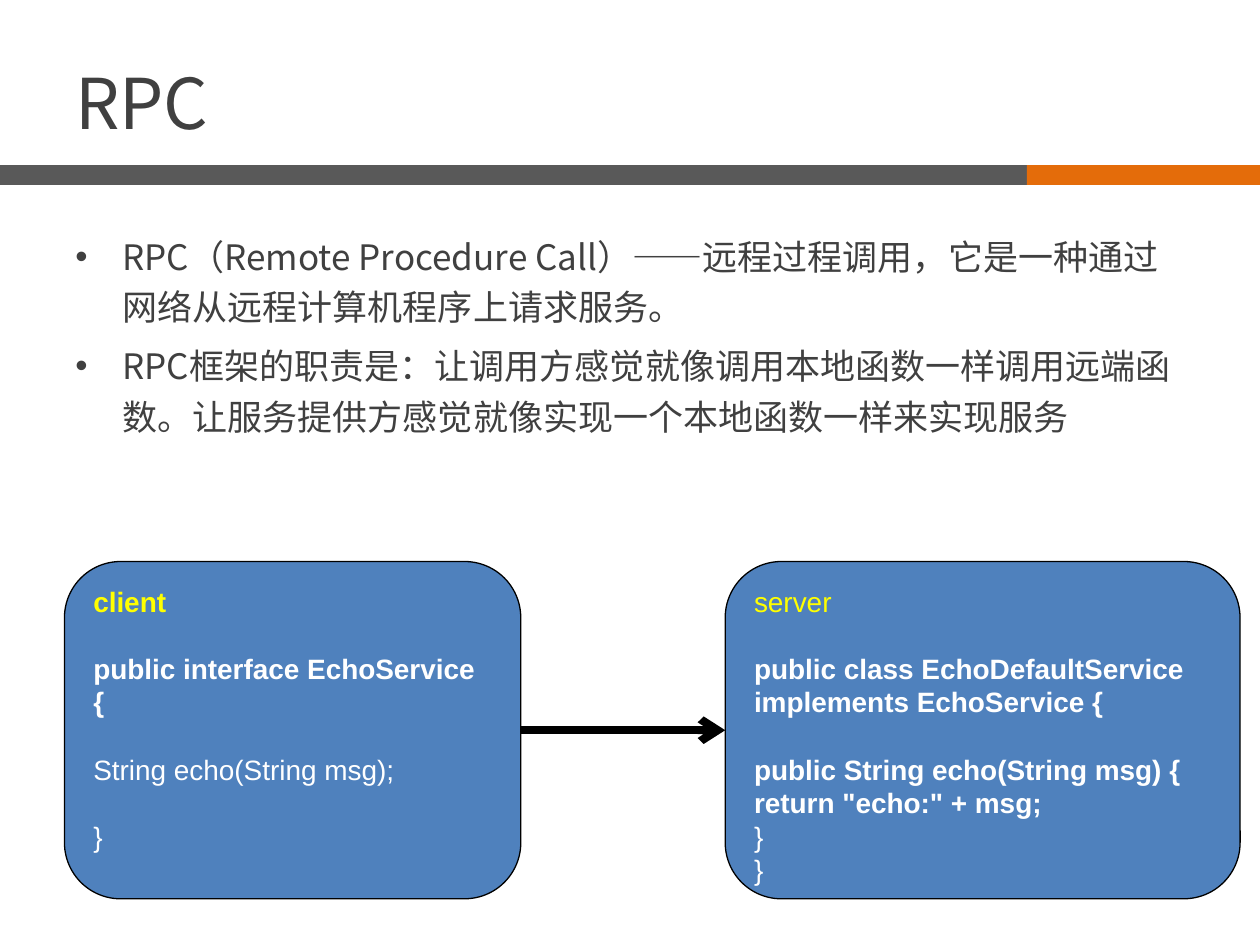
from lxml import etree
from pptx import Presentation
from pptx.dml.color import RGBColor
from pptx.enum.shapes import MSO_CONNECTOR, MSO_SHAPE
from pptx.enum.text import MSO_ANCHOR, PP_ALIGN
from pptx.oxml.ns import qn
from pptx.util import Cm, Pt

RECTANGLE, ROUNDED = MSO_SHAPE.RECTANGLE, MSO_SHAPE.ROUNDED_RECTANGLE
STRAIGHT, LEFT = MSO_CONNECTOR.STRAIGHT, PP_ALIGN.LEFT
TOP, MIDDLE = MSO_ANCHOR.TOP, MSO_ANCHOR.MIDDLE

BLACK = RGBColor(0x00, 0x00, 0x00)
WHITE = RGBColor(0xFF, 0xFF, 0xFF)
YELLOW = RGBColor(0xFF, 0xFF, 0x00)
TEXT_GRAY = RGBColor(0x40, 0x40, 0x40)
BAR_GRAY = RGBColor(0x59, 0x59, 0x59)
ORANGE = RGBColor(0xE4, 0x6C, 0x0A)
BLUE = RGBColor(0x4F, 0x81, 0xBD)
CJK_FONT, CODE_FONT = "Noto Sans CJK SC", "Arial"

# Content
TITLE = "RPC"
BULLETS = [
    "RPC（Remote Procedure Call）——远程过程调用，它是一种通过网络从远程计算机程序上请求服务。",
    "RPC框架的职责是：让调用方感觉就像调用本地函数一样调用远端函数。"
    "让服务提供方感觉就像实现一个本地函数一样来实现服务",
]
# Code lines: text, color, bold, whether a one-line gap comes before
CLIENT = [
    ("client", YELLOW, True, False),
    ("public interface EchoService {", WHITE, True, True),
    ("String echo(String msg);", WHITE, False, True),
    ("}", WHITE, False, True),
]
SERVER = [
    ("server", YELLOW, False, False),
    ("public class EchoDefaultService implements EchoService {", WHITE, True, True),
    ("public String echo(String msg) {", WHITE, True, True),
    ('return "echo:" + msg;', WHITE, True, False),
    ("}", WHITE, False, False),
    ("}", WHITE, False, False),
]

# Layout in centimetres
SLIDE_WIDTH, SLIDE_HEIGHT = 25.4, 19.05
BAR_TOP, BAR_HEIGHT, BAR_SPLIT = 3.33, 0.4, 20.7
MARGIN = 1.27
TEXT_WIDTH = SLIDE_WIDTH - 2 * MARGIN
BOX_TOP, BOX_HEIGHT = 11.32, 6.8
CLIENT_LEFT, CLIENT_WIDTH = 1.3, 9.2
SERVER_LEFT, SERVER_WIDTH = 14.62, 10.38
CODE_LINE = Pt(19.2)

presentation = Presentation()
presentation.slide_width, presentation.slide_height = Cm(SLIDE_WIDTH), Cm(SLIDE_HEIGHT)
slide = presentation.slides.add_slide(presentation.slide_layouts[6])


def write(frame, text, *, size, font, color, bold=False, before=0, spacing=1.0, bullet=False):
    """Put text into the frame's empty first paragraph or into a new one."""
    first = frame.paragraphs[0]
    paragraph = frame.add_paragraph() if first.runs else first
    paragraph.alignment = LEFT
    paragraph.line_spacing = spacing
    paragraph.space_before = before
    if bullet:
        properties = paragraph._p.get_or_add_pPr()
        properties.set("marL", str(Cm(0.95)))
        properties.set("indent", str(-Cm(0.95)))
        etree.SubElement(properties, qn("a:buFont"), typeface="Arial")
        etree.SubElement(properties, qn("a:buChar"), char="•")
    run = paragraph.add_run()
    run.text = text
    run.font.size = Pt(size)
    run.font.name = font
    run.font.bold = bold
    run.font.color.rgb = color
    etree.SubElement(run.font._element, qn("a:ea"), typeface=font)


def add_text_frame(left, top, width, height, anchor):
    frame = slide.shapes.add_textbox(Cm(left), Cm(top), Cm(width), Cm(height)).text_frame
    frame.word_wrap = True
    frame.vertical_anchor = anchor
    return frame


def add_block(kind, left, top, width, height, fill):
    shape = slide.shapes.add_shape(kind, Cm(left), Cm(top), Cm(width), Cm(height))
    shape.shadow.inherit = False
    shape.fill.solid()
    shape.fill.fore_color.rgb = fill
    shape.line.fill.background()
    return shape


def add_code_box(left, width, lines):
    shape = add_block(ROUNDED, left, BOX_TOP, width, BOX_HEIGHT, BLUE)
    shape.line.color.rgb = BLACK
    shape.line.width = Pt(0.75)
    frame = shape.text_frame
    frame.word_wrap = True
    frame.vertical_anchor = TOP
    for text, color, bold, gap in lines:
        write(frame, text, size=16, font=CODE_FONT, color=color, bold=bold,
              before=CODE_LINE if gap else 0, spacing=CODE_LINE)


# Divider under the title
add_block(RECTANGLE, 0, BAR_TOP, BAR_SPLIT, BAR_HEIGHT, BAR_GRAY)
add_block(RECTANGLE, BAR_SPLIT, BAR_TOP, SLIDE_WIDTH - BAR_SPLIT, BAR_HEIGHT, ORANGE)

# Title and bullets
title_frame = add_text_frame(MARGIN, 0.76, TEXT_WIDTH, 2.57, MIDDLE)
write(title_frame, TITLE, size=40, font=CJK_FONT, color=TEXT_GRAY)
bullet_frame = add_text_frame(MARGIN, 4.45, TEXT_WIDTH, 12.57, TOP)
for index, text in enumerate(BULLETS):
    write(bullet_frame, text, size=20, font=CJK_FONT, color=TEXT_GRAY,
          before=Pt(5) if index else 0, spacing=1.2, bullet=True)

# Code boxes
add_code_box(CLIENT_LEFT, CLIENT_WIDTH, CLIENT)
add_code_box(SERVER_LEFT, SERVER_WIDTH, SERVER)

# Arrow from client to server
arrow_y = Cm(BOX_TOP + BOX_HEIGHT / 2)
arrow = slide.shapes.add_connector(
    STRAIGHT, Cm(CLIENT_LEFT + CLIENT_WIDTH), arrow_y, Cm(SERVER_LEFT), arrow_y)
arrow.line.color.rgb = BLACK
arrow.line.width = Pt(4.5)
etree.SubElement(arrow.line._get_or_add_ln(), qn("a:tailEnd"), type="arrow")
etree.SubElement(arrow._element.spPr, qn("a:effectLst"))

presentation.save("out.pptx")
